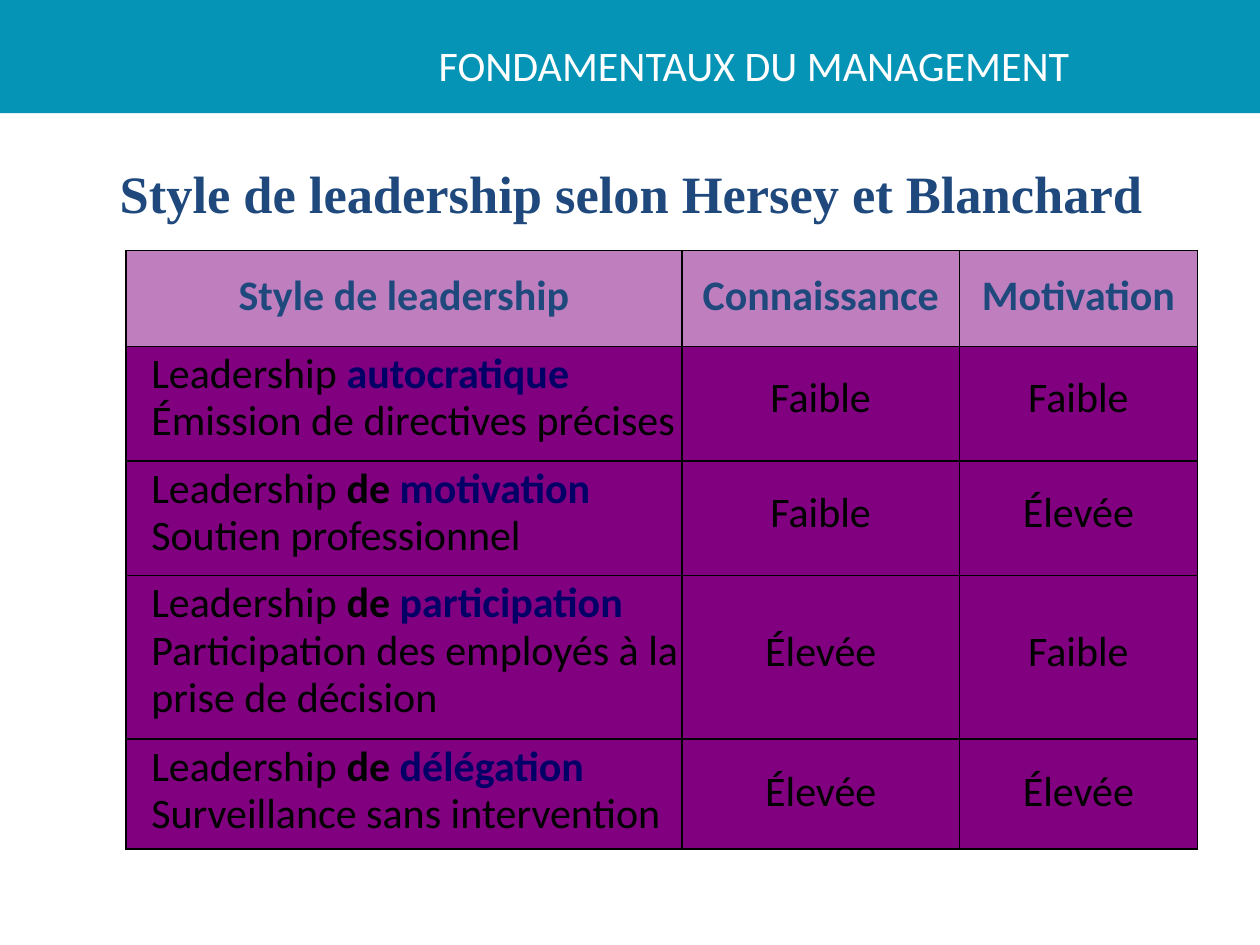
import pptx
import pptx.util
import pptx.dml.color
import pptx.enum.shapes
import pptx.enum.text
import pptx.oxml
import pptx.oxml.ns
from pptx.util import Cm

ALIGN = pptx.enum.text.PP_ALIGN
ANCHOR = pptx.enum.text.MSO_ANCHOR
A_NS = pptx.oxml.ns.nsdecls("a")
BLACK, NAVY, BLUE, PURPLE = "000000", "000066", "1F497D", "800080"


def rgb(value):
    return pptx.dml.color.RGBColor.from_string(value)


def add_run(p, text, size, color, bold=False, font="Calibri"):
    r = p.add_run()
    r.text = text
    r.font.size = pptx.util.Pt(size)
    r.font.name = font
    r.font.bold = bold
    r.font.color.rgb = rgb(color)


prs = pptx.Presentation()
prs.slide_width, prs.slide_height = Cm(25.4), Cm(19.05)
s = prs.slides.add_slide(prs.slide_layouts[6])

# Top band
sp = s.shapes.add_shape(pptx.enum.shapes.MSO_SHAPE.RECTANGLE, 0, 0, Cm(25.4), Cm(2.28))
sp.shadow.inherit = False
sp.fill.solid()
sp.fill.fore_color.rgb = rgb("0594B6")
sp.line.fill.background()

# Course name and slide title
headings = [
    ("FONDAMENTAUX DU MANAGEMENT", (7.5, 0.34, 15.4, 1.94), ANCHOR.MIDDLE,
     24, "FFFFFF", False, "Calibri"),
    ("Style de leadership selon Hersey et Blanchard", (1.3, 3.13, 22.86, 1.53), ANCHOR.TOP,
     30, BLUE, True, "Times New Roman"),
]
for text, box, anchor, size, color, bold, font in headings:
    tf = s.shapes.add_textbox(*[Cm(v) for v in box]).text_frame
    tf.word_wrap = True
    tf.vertical_anchor = anchor
    p = tf.paragraphs[0]
    p.alignment = ALIGN.CENTER
    add_run(p, text, size, color, bold, font)

# Table content: linking word, style, description, knowledge, motivation
header = ["Style de leadership", "Connaissance", "Motivation"]
styles = [
    ("", "autocratique", "Émission de directives précises", "Faible", "Faible"),
    ("de ", "motivation", "Soutien professionnel", "Faible", "Élevée"),
    ("de ", "participation", "Participation des employés à la prise de décision", "Élevée", "Faible"),
    ("de ", "délégation", "Surveillance sans intervention", "Élevée", "Élevée"),
]
col_widths = [11.21, 5.59, 4.8]
row_heights = [1.93, 2.31, 2.31, 3.3, 2.21]

table = s.shapes.add_table(5, 3, Cm(2.54), Cm(5.05), Cm(sum(col_widths)), Cm(sum(row_heights))).table
for col, width in zip(table.columns, col_widths):
    col.width = Cm(width)
for row, height in zip(table.rows, row_heights):
    row.height = Cm(height)

# Header row
for i, text in enumerate(header):
    add_run(table.cell(0, i).text_frame.paragraphs[0], text, 24, BLUE, True)

# Leadership styles
for i, (link, style, description, *levels) in enumerate(styles, 1):
    tf = table.cell(i, 0).text_frame
    p = tf.paragraphs[0]
    add_run(p, "Leadership ", 24, BLACK)
    if link:
        add_run(p, link, 24, BLACK, True)
    add_run(p, style, 24, NAVY, True)
    add_run(tf.add_paragraph(), description, 24, BLACK)
    for j, level in enumerate(levels, 1):
        add_run(table.cell(i, j).text_frame.paragraphs[0], level, 24, BLACK)

# Cell margins, alignment, fill and borders
for i in range(5):
    for j in range(3):
        cell = table.cell(i, j)
        left_text = i > 0 and j == 0
        if i == 0:
            margins = (0, 0, 0, 0)
        elif j == 0:
            margins = (0.51, 0.13, 0, 0 if i == 4 else 0.25)
        else:
            margins = (0.38, 0, 0.38, 0) if i == 4 else (0.38, 0.13, 0.38, 0.25)
        (cell.margin_left, cell.margin_top,
         cell.margin_right, cell.margin_bottom) = [Cm(m) for m in margins]
        cell.vertical_anchor = ANCHOR.TOP if left_text else ANCHOR.MIDDLE
        for p in cell.text_frame.paragraphs:
            p.alignment = ALIGN.LEFT if left_text else ALIGN.CENTER
            p.line_spacing = pptx.util.Pt(27)
        cell.fill.solid()
        cell.fill.fore_color.rgb = rgb(PURPLE)
        tcPr = cell._tc.get_or_add_tcPr()
        if i == 0:
            clr = tcPr.find(".//" + pptx.oxml.ns.qn("a:srgbClr"))
            clr.append(pptx.oxml.parse_xml(f'<a:alpha {A_NS} val="50000"/>'))
        for k, side in enumerate("LRTB"):
            tcPr.insert(k, pptx.oxml.parse_xml(
                f'<a:ln{side} {A_NS} w="12700"><a:solidFill><a:srgbClr val="{BLACK}"/>'
                f'</a:solidFill></a:ln{side}>'))

prs.save("out.pptx")
